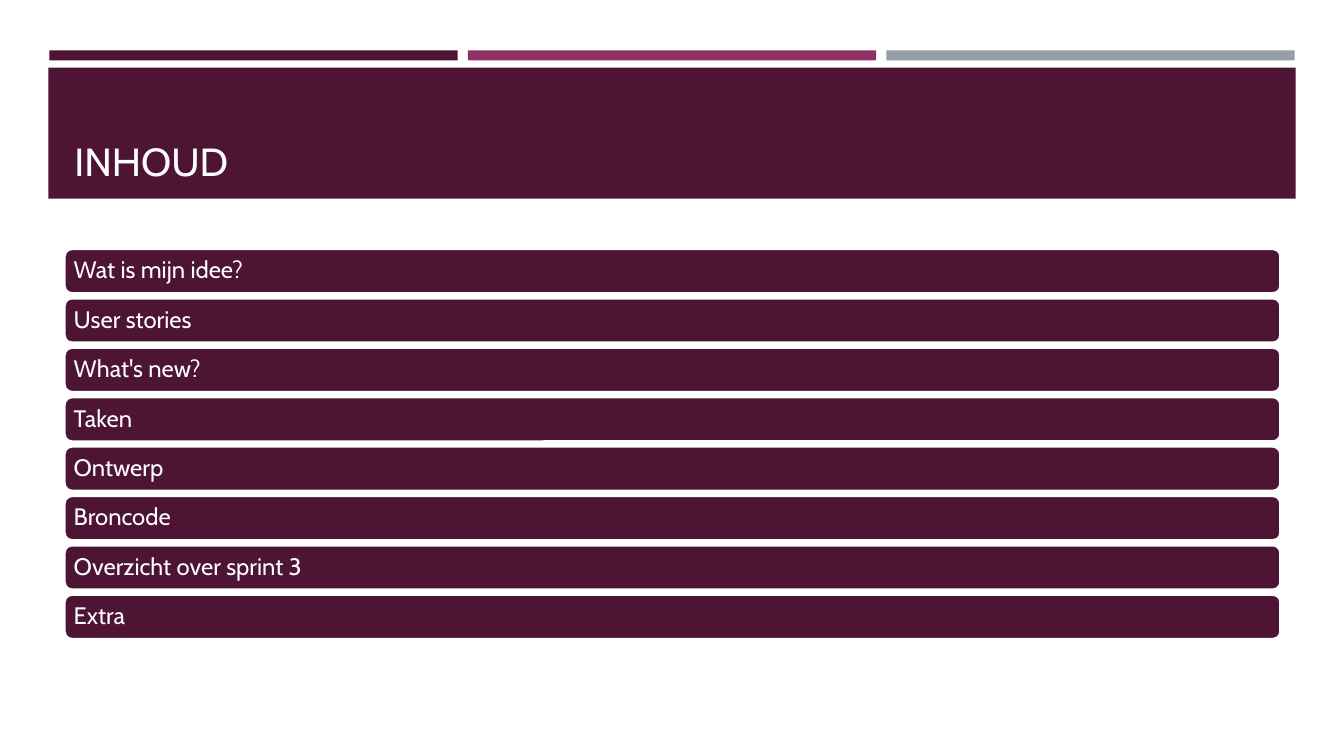
from pptx import Presentation
from pptx.dml.color import RGBColor
from pptx.enum.shapes import MSO_SHAPE
from pptx.enum.text import MSO_ANCHOR, PP_ALIGN
from pptx.util import Inches, Pt

COLORS = {
    "plum": "4D1434",
    "magenta": "903163",
    "gray": "969FA7",
    "title": "FFFEFF",
    "white": "FFFFFF",
}

TOPICS = [
    "Wat is mijn idee?",
    "User stories",
    "What's new?",
    "Taken",
    "Ontwerp",
    "Broncode",
    "Overzicht over sprint 3",
    "Extra",
]


class SlideBuilder:
    font = "Cabin"

    def __init__(self, slide):
        self.slide = slide

    def color(self, name):
        return RGBColor.from_string(COLORS[name])

    def box(self, left, top, width, height, fill, kind=MSO_SHAPE.RECTANGLE):
        shape = self.slide.shapes.add_shape(
            kind, Inches(left), Inches(top), Inches(width), Inches(height))
        shape.shadow.inherit = False
        shape.fill.solid()
        shape.fill.fore_color.rgb = self.color(fill)
        shape.line.fill.background()
        return shape

    def label(self, frame, text, size, color, anchor):
        frame.word_wrap = True
        frame.vertical_anchor = anchor
        paragraph = frame.paragraphs[0]
        paragraph.alignment = PP_ALIGN.LEFT
        paragraph.line_spacing = 0.9
        run = paragraph.add_run()
        run.text = text
        run.font.name = self.font
        run.font.size = Pt(size)
        run.font.color.rgb = self.color(color)

    def title(self, text, left, top, width, height):
        shape = self.slide.shapes.add_textbox(
            Inches(left), Inches(top), Inches(width), Inches(height))
        self.label(shape.text_frame, text, 28, "title", MSO_ANCHOR.BOTTOM)

    def topic(self, text, left, top, width, height):
        shape = self.box(left, top, width, height, "plum", MSO_SHAPE.ROUNDED_RECTANGLE)
        shape.line.color.rgb = self.color("white")
        shape.line.width = Pt(1.75)
        frame = shape.text_frame
        frame.margin_left = frame.margin_right = Inches(0.07)
        frame.margin_top = frame.margin_bottom = Inches(0.07)
        self.label(frame, text, 17, "white", MSO_ANCHOR.MIDDLE)


def main():
    presentation = Presentation()
    presentation.slide_width = Inches(13.33)
    presentation.slide_height = Inches(7.5)
    builder = SlideBuilder(presentation.slides.add_slide(presentation.slide_layouts[6]))

    for index, fill in enumerate(["plum", "magenta", "gray"]):
        builder.box(0.49 + index * 4.15, 0.5, 4.05, 0.1, fill)
    builder.box(0.48, 0.67, 12.37, 1.3, "plum")
    builder.title("INHOUD", 0.64, 0.77, 12.06, 1.11)

    for index, text in enumerate(TOPICS):
        builder.topic(text, 0.64, 2.47 + index * 0.49, 12.06, 0.44)

    presentation.save("out.pptx")


if __name__ == "__main__":
    main()
